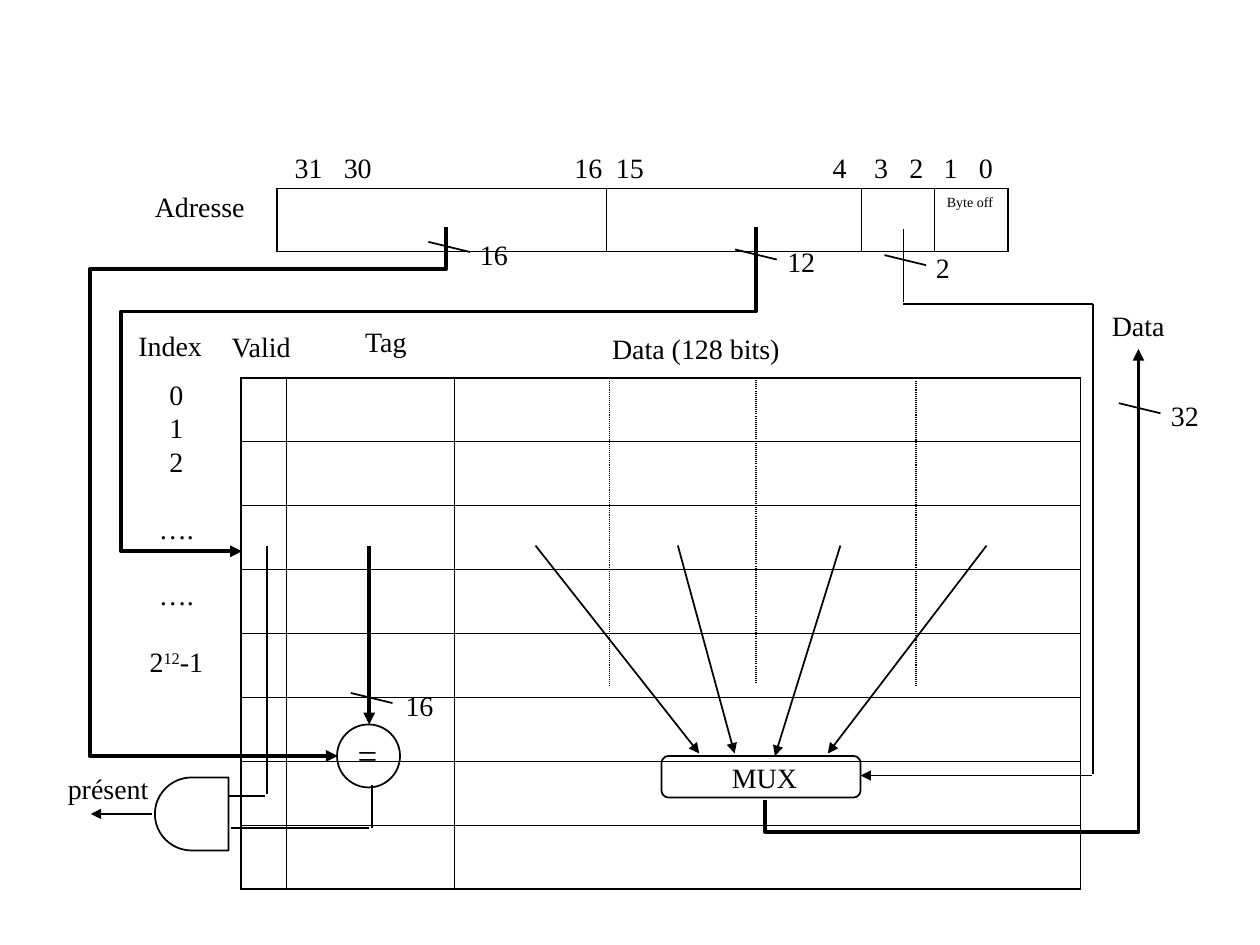
from lxml import etree
from pptx import Presentation
from pptx import util as u
from pptx.dml.color import RGBColor
from pptx.enum import dml, shapes, text
from pptx.oxml import ns

COLUMNS, ROWS = 100, 75
UNIT = u.Inches(10) // COLUMNS
BLACK = "000000"
FONT = "Times New Roman"
HAIRLINE, DOTTED, THIN, FRAME, BUS = 0.45, 0.6, 1, 1.08, 2.25

LABELS = [
    ("Valid", 17.4, 25.7, 6.9),
    ("Tag", 28, 25.3, 5.4),
    ("Data (128 bits)", 47.6, 25.8, 15.3),
    ("Index", 10, 25.6, 7),
    ("Adresse", 11.3, 14.55, 9.1),
    ("Data", 87.25, 24, 6.2),
    ("présent", 4.4, 60.75, 8.4),
    ("MUX", 57.1, 59.85, 7.1),
]
BIT_STOPS = [3.9, 22.2, 25.5, 42.7, 46, 48.8, 51.5, 54.3]
BUS_WIDTHS = [
    ("16", (34, 19.2), (37.1, 18.35)),
    ("12", (58.35, 19.8), (61.5, 18.95)),
    ("32", (88.8, 32), (91.95, 31.15)),
    ("16", (27.85, 55), (31.2, 54.15)),
    ("2", (70.2, 20.25), (73.3, 19.4)),
]
BUSES = [
    ((35.4, 18), (26.8, 60), [8, 329]),
    ((60, 18), (19.2, 43.75), [26.1, 123.5]),
    ((60.7, 63.5), (90.35, 27.7), [-7]),
]
WIRES = [
    ((18.3, 65.7), (29.3, 65.7)),
    ((29.5, 65.7), (29.5, 62.3)),
    ((21.2, 43.3), (21.2, 63)),
    ((21, 63.2), (18.2, 63.2)),
    ((71.7, 18.2), (71.7, 24)),
    ((71.7, 24.15), (86.75, 24.15)),
    ((86.75, 24.1), (86.75, 61.4)),
]
ARROWS = [
    ((12.1, 64.6), (7.2, 64.6)),
    ((42.5, 43.3), (55.5, 59.8)),
    ((53.8, 43.3), (58.3, 59.8)),
    ((66.7, 43.3), (61.5, 60)),
    ((78.3, 43.3), (65.7, 59.8)),
    ((86.7, 61.55), (68.3, 61.55)),
]
WORD_DIVIDERS = [(48.4, 30.25), (60, 30), (72.7, 30.25)]


def grid(*lengths):
    return [round(length * UNIT) for length in lengths]


def color(hex_value):
    return RGBColor.from_string(hex_value)


def add_node(parent, tag, **attributes):
    return etree.SubElement(parent, ns.qn(tag), attributes)


def style_font(paragraph, size):
    paragraph.font.name = FONT
    paragraph.font.size = u.Pt(size)
    paragraph.font.color.rgb = color(BLACK)


def add_text_frame(slide, left, top, width, height):
    frame = slide.shapes.add_textbox(*grid(left, top, width, height)).text_frame
    frame.word_wrap = False
    frame.margin_right = 0
    return frame


def add_label(slide, content, left, top, width, height=3.7, size=16):
    paragraph = add_text_frame(slide, left, top, width, height).paragraphs[0]
    paragraph.text = content
    style_font(paragraph, size)
    return paragraph


def add_bit_numbers(slide):
    numbers = "\t".join("31 30 16 15 4 3 2 1 0".split())
    paragraph = add_label(slide, numbers, 22.4, 11.45, 57.4)
    stops = add_node(paragraph._p.get_or_add_pPr(), "a:tabLst")
    stops.getparent().insert(0, stops)
    for position in grid(*BIT_STOPS):
        add_node(stops, "a:tab", pos=str(position), algn="l")


def add_index_column(slide):
    frame = add_text_frame(slide, 10.9, 29.45, 6.2, 25)
    frame.margin_left = 0
    entries = [("0", 0), ("1", 0), ("2", 0), ("….", 19), ("….", 19), ("2", 19)]
    for number, (content, gap) in enumerate(entries):
        paragraph = frame.add_paragraph() if number else frame.paragraphs[0]
        paragraph.text = content
        paragraph.alignment = text.PP_ALIGN.CENTER
        paragraph.space_before = u.Pt(gap)
        style_font(paragraph, 16)
    exponent = paragraph.add_run()
    exponent.text = "12"
    exponent.font._element.set("baseline", "30000")
    paragraph.add_run().text = "-1"


def add_line(slide, begin, end, width=THIN, arrow=False,
             kind=shapes.MSO_CONNECTOR.STRAIGHT):
    connector = slide.shapes.add_connector(kind, *grid(*begin, *end))
    connector.line.color.rgb = color(BLACK)
    connector.line.width = u.Pt(width)
    if arrow:
        add_node(connector.line._get_or_add_ln(), "a:tailEnd", type="triangle")
    add_node(connector._element.spPr, "a:effectLst")
    return connector


def add_elbow(slide, begin, end, percentages):
    center_x, center_y = [(a + b) / 2 for a, b in zip(begin, end)]
    half_x, half_y = [(b - a) / 2 for a, b in zip(begin, end)]
    connector = add_line(
        slide,
        (center_x - half_y, center_y + half_x),
        (center_x + half_y, center_y - half_x),
        BUS, True, shapes.MSO_CONNECTOR.ELBOW,
    )
    properties = connector._element.spPr
    properties.find(ns.qn("a:xfrm")).set("rot", str(90 * 60000))
    geometry = properties.find(ns.qn("a:prstGeom"))
    geometry.set("prst", f"bentConnector{len(percentages) + 2}")
    values = geometry.find(ns.qn("a:avLst"))
    if values is None:
        values = add_node(geometry, "a:avLst")
    for number, percentage in enumerate(percentages, 1):
        add_node(values, "a:gd", name=f"adj{number}",
                 fmla=f"val {round(percentage * 1000)}")


def add_outline(slide, kind, left, top, width, height):
    shape = slide.shapes.add_shape(kind, *grid(left, top, width, height))
    shape.shadow.inherit = False
    shape.fill.background()
    shape.line.color.rgb = color(BLACK)
    shape.line.width = u.Pt(THIN)
    return shape


def border_cell(cell, outer_edges):
    cell.fill.background()
    properties = cell._tc.get_or_add_tcPr()
    for position, (side, outer) in enumerate(zip("LRTB", outer_edges)):
        width = u.Pt(FRAME if outer else HAIRLINE)
        border = add_node(properties, f"a:ln{side}", w=str(width))
        fill = add_node(border, "a:solidFill")
        add_node(fill, "a:srgbClr", val=BLACK)
        properties.insert(position, border)


def add_grid_table(slide, left, top, widths, row_count, row_height):
    box = grid(left, top, sum(widths), row_count * row_height)
    table = slide.shapes.add_table(row_count, len(widths), *box).table
    table.first_row = table.horz_banding = False
    for column, width in zip(table.columns, grid(*widths)):
        column.width = width
    last_row, last_column = row_count - 1, len(widths) - 1
    for r, row in enumerate(table.rows):
        row.height = grid(row_height)[0]
        for c, cell in enumerate(row.cells):
            border_cell(cell, (c == 0, c == last_column, r == 0, r == last_row))
    return table


def add_address(slide):
    table = add_grid_table(slide, 22, 14.95, [26.1, 20.25, 5.8, 5.85], 1, 5)
    paragraph = table.cell(0, 3).text_frame.paragraphs[0]
    paragraph.text = "Byte off"
    paragraph.space_before = u.Pt(2)
    style_font(paragraph, 8)


def main():
    presentation = Presentation()
    presentation.slide_width = COLUMNS * UNIT
    presentation.slide_height = ROWS * UNIT
    slide = presentation.slides.add_slide(presentation.slide_layouts[6])

    add_grid_table(slide, 19.15, 30, [3.6, 13.3, 49.7], 8, 5.07)
    add_address(slide)
    add_bit_numbers(slide)
    add_index_column(slide)

    kinds = shapes.MSO_SHAPE
    add_outline(slide, kinds.OVAL, 26.75, 57.5, 5, 5)
    gate = add_outline(slide, kinds.FLOWCHART_DELAY, 12.3, 61.7, 5.85, 5.8)
    gate._element.spPr.find(ns.qn("a:xfrm")).set("flipH", "1")
    add_outline(slide, kinds.ROUNDED_RECTANGLE, 52.5, 60, 15.8, 3.3)

    for label in LABELS:
        add_label(slide, *label)
    add_label(slide, "=", 27.4, 57.7, 3.5, 4.4, 20)
    for bits, (x, y), corner in BUS_WIDTHS:
        add_line(slide, (x, y), (x + 3.3, y + 0.8))
        add_label(slide, bits, *corner, 2 + 1.1 * len(bits))

    for bus in BUSES:
        add_elbow(slide, *bus)
    add_line(slide, (29.3, 43.3), (29.3, 57.5), BUS, True)
    for wire in WIRES:
        add_line(slide, *wire)
    for arrow in ARROWS:
        add_line(slide, *arrow, arrow=True)
    for x, y in WORD_DIVIDERS:
        divider = add_line(slide, (x, y), (x, y + 24.2), DOTTED)
        divider.line.dash_style = dml.MSO_LINE.ROUND_DOT

    presentation.save("out.pptx")


if __name__ == "__main__":
    main()
